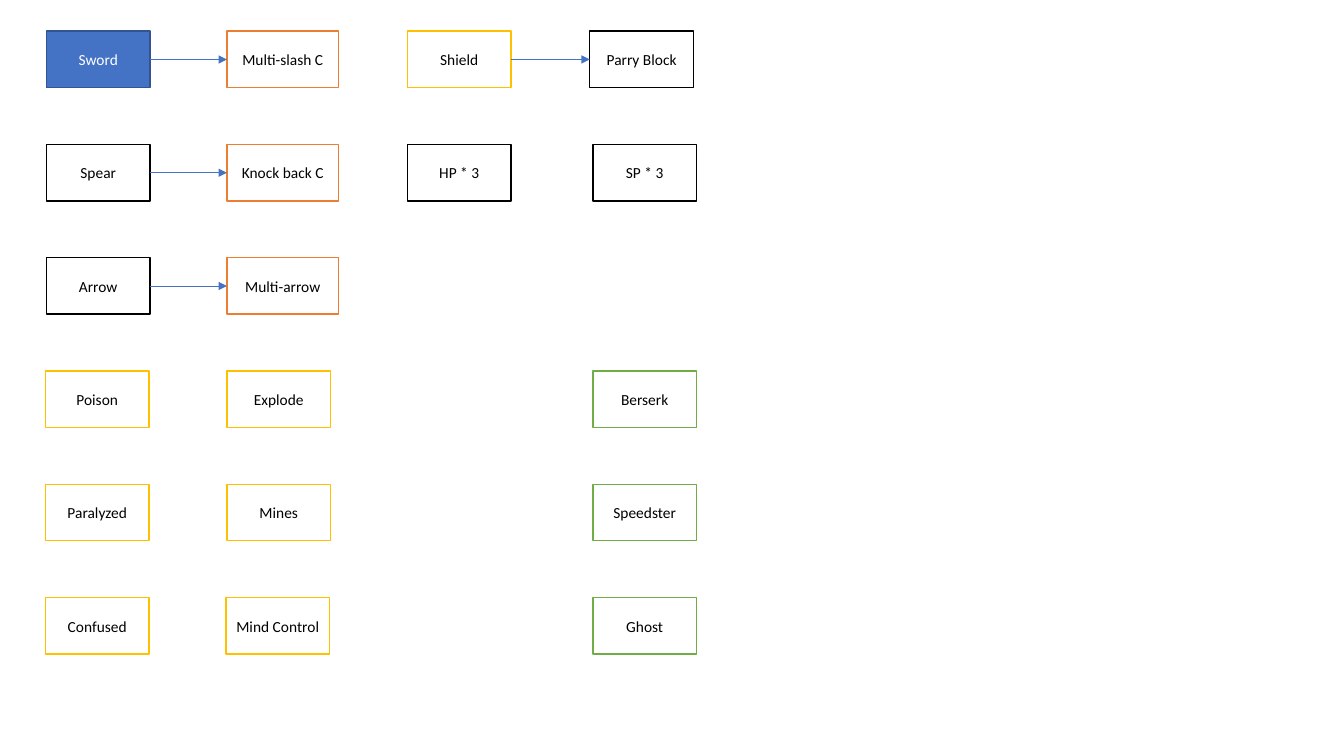
import dataclasses

import pptx
import pptx.dml.color
import pptx.enum.shapes
import pptx.enum.text
import pptx.oxml
import pptx.oxml.ns
import pptx.util

Inches = pptx.util.Inches
FIRST_ROW_TOP = 0.31
LAST_ROW_TOP = 5.93
ROW_STEP = (LAST_ROW_TOP - FIRST_ROW_TOP) / 5
BOX_HEIGHT = 0.56
NARROW = 1.03
WIDE = 1.11
RIGHT_SITE = 3
LEFT_SITE = 1

WHITE = "FFFFFF"
BLACK = "000000"
BLUE = "4472C4"
DARK_BLUE = "325491"
ORANGE = "ED7D31"
GOLD = "FFC000"
GREEN = "70AD47"


@dataclasses.dataclass(frozen=True)
class Skill:
    name: str
    row: int
    left: float
    line: str
    width: float = NARROW
    fill: str = WHITE
    text: str = BLACK


SKILLS = [
    Skill("Sword", 0, 0.46, DARK_BLUE, fill=BLUE, text=WHITE),
    Skill("Multi-slash C", 0, 2.25, ORANGE, WIDE),
    Skill("Shield", 0, 4.04, GOLD),
    Skill("Parry Block", 0, 5.85, BLACK),
    Skill("Spear", 1, 0.46, BLACK),
    Skill("Knock back C", 1, 2.25, ORANGE, WIDE),
    Skill("HP * 3", 1, 4.04, BLACK),
    Skill("SP * 3", 1, 5.88, BLACK),
    Skill("Arrow", 2, 0.46, BLACK),
    Skill("Multi-arrow", 2, 2.25, ORANGE, WIDE),
    Skill("Poison", 3, 0.45, GOLD),
    Skill("Explode", 3, 2.25, GOLD),
    Skill("Berserk", 3, 5.88, GREEN),
    Skill("Paralyzed", 4, 0.45, GOLD),
    Skill("Mines", 4, 2.25, GOLD),
    Skill("Speedster", 4, 5.88, GREEN),
    Skill("Confused", 5, 0.45, GOLD),
    Skill("Mind Control", 5, 2.24, GOLD),
    Skill("Ghost", 5, 5.88, GREEN),
]

UPGRADES = {
    "Sword": "Multi-slash C",
    "Spear": "Knock back C",
    "Arrow": "Multi-arrow",
    "Shield": "Parry Block",
}

FRAME_FORMAT = {
    "word_wrap": True,
    "vertical_anchor": pptx.enum.text.MSO_ANCHOR.MIDDLE,
    "margin_left": Inches(0.05),
    "margin_right": Inches(0.05),
}
FONT_FORMAT = {"name": "Calibri", "size": pptx.util.Pt(11)}


def apply_format(target: object, values: dict) -> None:
    for name, value in values.items():
        setattr(target, name, value)


def paint(color_format, color: str) -> None:
    color_format.rgb = pptx.dml.color.RGBColor.from_string(color)


def draw_skill(slide, skill: Skill):
    box = slide.shapes.add_shape(
        pptx.enum.shapes.MSO_SHAPE.RECTANGLE,
        Inches(skill.left),
        Inches(FIRST_ROW_TOP + skill.row * ROW_STEP),
        Inches(skill.width),
        Inches(BOX_HEIGHT),
    )
    box.shadow.inherit = False
    box.fill.solid()
    paint(box.fill.fore_color, skill.fill)
    paint(box.line.color, skill.line)
    box.line.width = pptx.util.Pt(1)
    apply_format(box.text_frame, FRAME_FORMAT)
    para = box.text_frame.paragraphs[0]
    para.alignment = pptx.enum.text.PP_ALIGN.CENTER
    span = para.add_run()
    span.text = skill.name
    apply_format(span.font, FONT_FORMAT)
    paint(span.font.color, skill.text)
    return box


def draw_upgrade(slide, weapon, upgrade) -> None:
    middle = weapon.top + weapon.height // 2
    arrow = slide.shapes.add_connector(
        pptx.enum.shapes.MSO_CONNECTOR.STRAIGHT,
        weapon.left + weapon.width,
        middle,
        upgrade.left,
        middle,
    )
    arrow.begin_connect(weapon, RIGHT_SITE)
    arrow.end_connect(upgrade, LEFT_SITE)
    paint(arrow.line.color, BLUE)
    arrow.line.width = pptx.util.Pt(0.5)
    namespace = pptx.oxml.ns.nsdecls("a")
    properties = arrow.element.spPr
    head = pptx.oxml.parse_xml(f'<a:tailEnd {namespace} type="triangle"/>')
    properties.get_or_add_ln().append(head)
    properties.append(pptx.oxml.parse_xml(f"<a:effectLst {namespace}/>"))


deck = pptx.Presentation()
deck.slide_width = Inches(13.33)
deck.slide_height = Inches(7.5)
page = deck.slides.add_slide(deck.slide_layouts.get_by_name("Blank"))

boxes = {skill.name: draw_skill(page, skill) for skill in SKILLS}
for weapon_name, upgrade_name in UPGRADES.items():
    draw_upgrade(page, boxes[weapon_name], boxes[upgrade_name])

deck.save("out.pptx")
